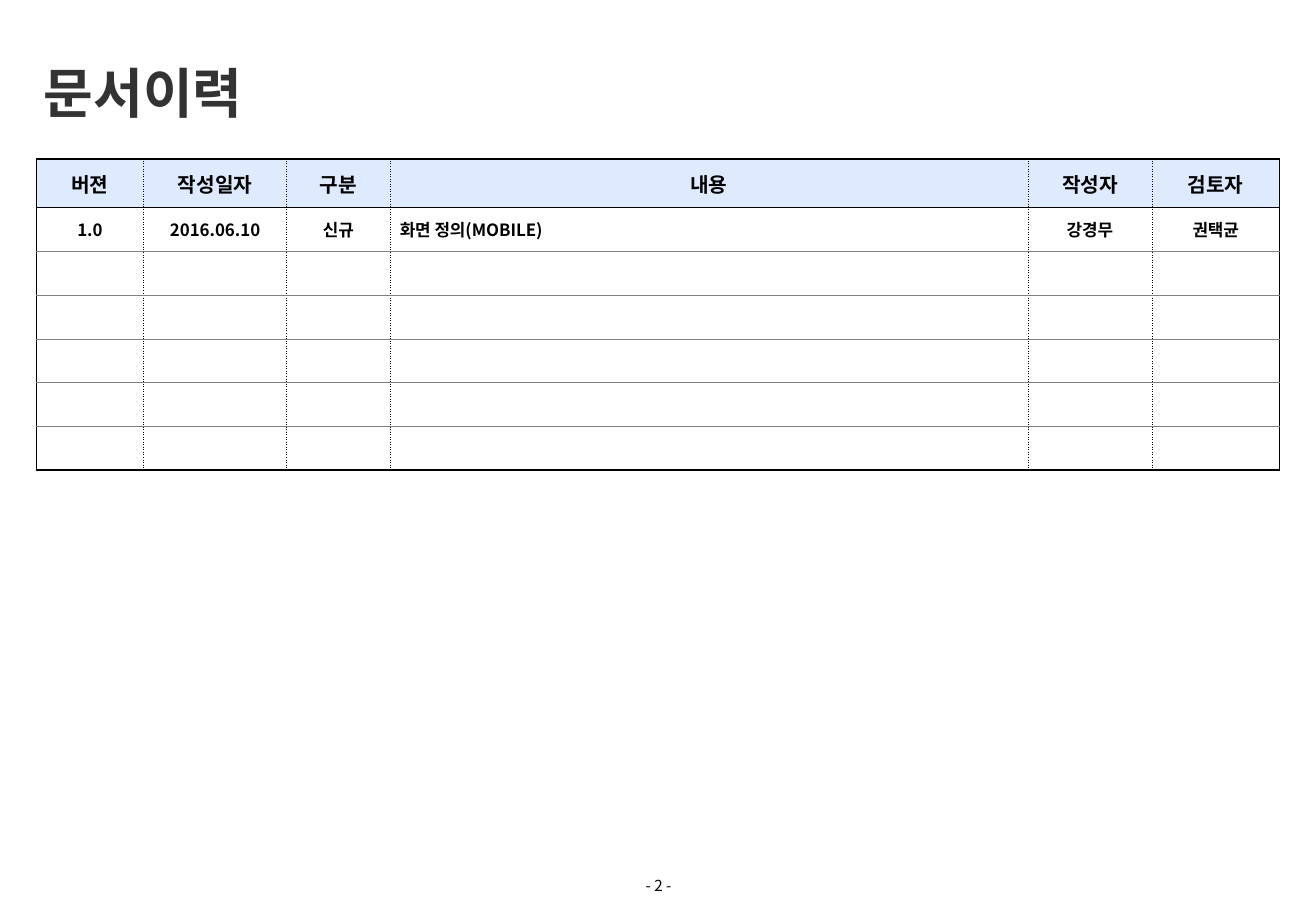
from pptx import Presentation
from pptx import util as u
from pptx.dml.color import RGBColor
from pptx.enum import text
from pptx.oxml.ns import qn
from lxml import etree

FONT = "Noto Sans CJK KR"
COLORS = {"black": "000000", "title": "333333", "header": "DEEBFE", "rule": "808080"}
OUTER = ("black", 1, "solid")
COLUMN = ("black", 0.5, "sysDot")
ROW = ("rule", 0.25, "solid")

HEADERS = ["버젼", "작성일자", "구분", "내용", "작성자", "검토자"]
ENTRY = ["1.0", "2016.06.10", "신규", "화면 정의(MOBILE)", "강경무", "권택균"]
EMPTY_ROWS = 5
COLUMN_WIDTHS = [0.88, 1.18, 0.85, 5.25, 1.02, 1.05]
HEADER_HEIGHT, ROW_HEIGHT = 0.4, 0.36
CONTENT_COLUMN = HEADERS.index("내용")


def write_text(frame, content, size, color="black", bold=False,
               align=text.PP_ALIGN.CENTER, line_spacing=None):
    paragraph = frame.paragraphs[0]
    paragraph.alignment = align
    if line_spacing:
        paragraph.line_spacing = line_spacing
    if not content:
        etree.SubElement(paragraph._p, qn("a:endParaRPr"), sz=str(size * 100))
        return
    run = paragraph.add_run()
    run.text = content
    run.font.name = FONT
    run.font.size = u.Pt(size)
    run.font.bold = bold
    run.font.color.rgb = RGBColor.from_string(COLORS[color])
    etree.SubElement(run._r.get_or_add_rPr(), qn("a:ea"), typeface=FONT)


def set_borders(cell, **borders):
    properties = cell._tc.get_or_add_tcPr()
    for side in "LRTB":
        color, width, dash = borders[side]
        line = etree.SubElement(properties, qn(f"a:ln{side}"), w=str(u.Pt(width)))
        fill = etree.SubElement(line, qn("a:solidFill"))
        etree.SubElement(fill, qn("a:srgbClr"), val=COLORS[color])
        etree.SubElement(line, qn("a:prstDash"), val=dash)


def place(shape, box):
    shape.left, shape.top, shape.width, shape.height = map(u.Inches, box)


def add_title(slide, box):
    title = slide.shapes.title
    place(title, box)
    frame = title.text_frame
    frame.auto_size = text.MSO_AUTO_SIZE.NONE
    frame.vertical_anchor = text.MSO_ANCHOR.TOP
    write_text(frame, "문서이력", 32, color="title", bold=True,
               align=text.PP_ALIGN.LEFT, line_spacing=1.5)


def add_history_table(slide, box):
    rows = [HEADERS, ENTRY] + [[""] * len(HEADERS)] * EMPTY_ROWS
    last_row, last_column = len(rows) - 1, len(HEADERS) - 1
    table = slide.shapes.add_table(len(rows), len(HEADERS), *map(u.Inches, box)).table
    table.first_row = table.horz_banding = False
    for column, width in zip(table.columns, COLUMN_WIDTHS):
        column.width = u.Inches(width)
    for i, values in enumerate(rows):
        header = i == 0
        table.rows[i].height = u.Inches(HEADER_HEIGHT if header else ROW_HEIGHT)
        for j, value in enumerate(values):
            cell = table.cell(i, j)
            cell.margin_left = cell.margin_right = u.Inches(0.08)
            cell.margin_top = cell.margin_bottom = u.Inches(0.08)
            cell.vertical_anchor = text.MSO_ANCHOR.MIDDLE
            set_borders(cell,
                        L=OUTER if j == 0 else COLUMN,
                        R=OUTER if j == last_column else COLUMN,
                        T=OUTER if i <= 1 else ROW,
                        B=OUTER if i in (0, last_row) else ROW)
            if header:
                cell.fill.solid()
                cell.fill.fore_color.rgb = RGBColor.from_string(COLORS["header"])
            else:
                cell.fill.background()
            left_aligned = j == CONTENT_COLUMN and not header
            write_text(cell.text_frame, value, 12 if header else 10, bold=True,
                       align=text.PP_ALIGN.LEFT if left_aligned else text.PP_ALIGN.CENTER)


def add_page_number(slide, box):
    frame = slide.shapes.add_textbox(*map(u.Inches, box)).text_frame
    frame.word_wrap = True
    frame.margin_left = frame.margin_right = frame.margin_top = frame.margin_bottom = 0
    frame.vertical_anchor = text.MSO_ANCHOR.MIDDLE
    write_text(frame, "- 2 -", 9)


def build_history_slide(presentation):
    slide = presentation.slides.add_slide(presentation.slide_layouts[5])
    add_page_number(slide, (4.5, 7.22, 1.84, 0.14))
    add_history_table(slide, (0.3, 1.31, sum(COLUMN_WIDTHS), 2.56))
    add_title(slide, (0.26, 0.17, 2.4, 0.91))


presentation = Presentation()
presentation.slide_width = u.Inches(10.83)
presentation.slide_height = u.Inches(7.5)
build_history_slide(presentation)
presentation.save("out.pptx")
